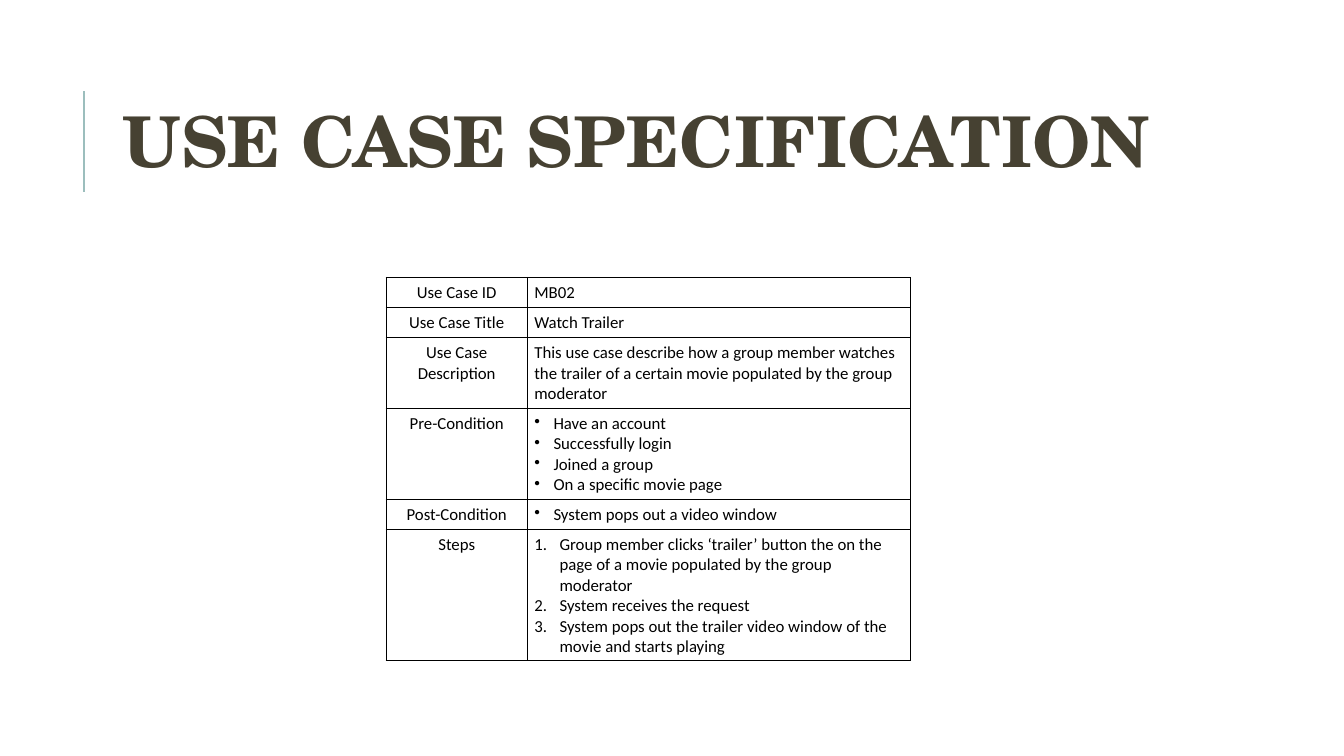
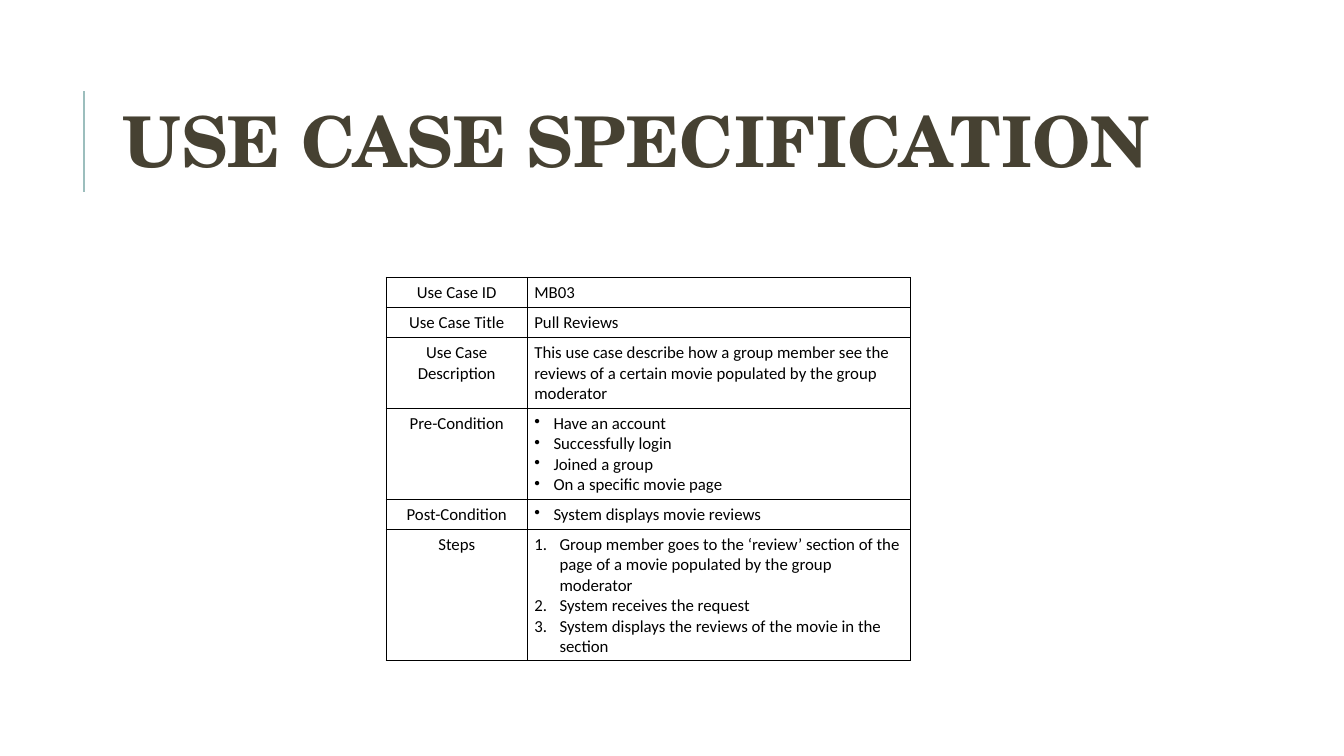
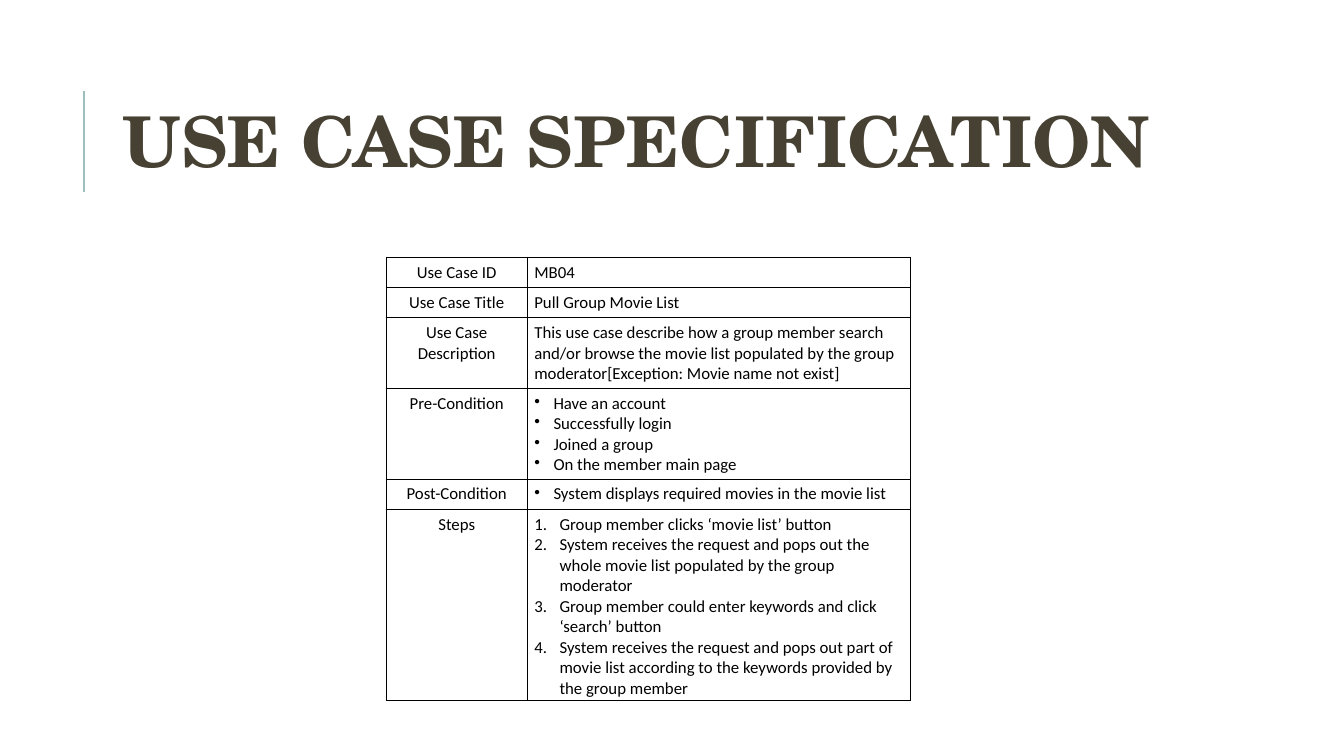
"""Build three use case specification slides, each with a title and a table."""
from lxml.etree import SubElement
from pptx import Presentation
from pptx.dml.color import RGBColor
from pptx.enum.shapes import MSO_CONNECTOR
from pptx.enum.text import MSO_ANCHOR, PP_ALIGN
from pptx.oxml.ns import qn
from pptx.util import Pt

PX = 9144
BLACK = RGBColor(0x00, 0x00, 0x00)
OLIVE = RGBColor(0x46, 0x41, 0x32)
SAGE = RGBColor(0x9C, 0xBE, 0xBD)
TITLE_FONT = "TeX Gyre Schola"
BODY_FONT = "Calibri"

TABLE_LEFT = 383
COLUMN_WIDTHS = (140, 380)
LINE_HEIGHT = 20
CELL_PADDING = 5
LABELS = ("Use Case ID", "Use Case Title", "Use Case Description",
          "Pre-Condition", "Post-Condition", "Steps")
LIST_STYLES = {
    "Pre-Condition": ("buChar", {"char": "•"}, 19),
    "Post-Condition": ("buChar", {"char": "•"}, 19),
    "Steps": ("buAutoNum", {"type": "arabicPeriod"}, 25),
}
MEMBER_CONDITIONS = "Have an account\nSuccessfully login\nJoined a group\n"

USE_CASES = (
    (275, 6, (
        "MB02",
        "Watch Trailer",
        "This use case describe how a group member watches the trailer of a "
        "certain movie populated by the group moderator",
        MEMBER_CONDITIONS + "On a specific movie page",
        "System pops out a video window",
        "Group member clicks ‘trailer’ button the on the page of a movie "
        "populated by the group moderator\n"
        "System receives the request\n"
        "System pops out the trailer video window of the movie and starts playing",
    )),
    (275, 6, (
        "MB03",
        "Pull Reviews",
        "This use case describe how a group member see the reviews of a "
        "certain movie populated by the group moderator",
        MEMBER_CONDITIONS + "On a specific movie page",
        "System displays movie reviews",
        "Group member goes to the ‘review’ section of the page of a movie "
        "populated by the group moderator\n"
        "System receives the request\n"
        "System displays the reviews of the movie in the section",
    )),
    (255, 9, (
        "MB04",
        "Pull Group Movie List",
        "This use case describe how a group member search and/or browse the "
        "movie list populated by the group moderator[Exception: Movie name not exist]",
        MEMBER_CONDITIONS + "On the member main page",
        "System displays required movies in the movie list",
        "Group member clicks ‘movie list’ button\n"
        "System receives the request and pops out the whole movie list "
        "populated by the group moderator\n"
        "Group member could enter keywords and click ‘search’ button\n"
        "System receives the request and pops out part of movie list according "
        "to the keywords provided by the group member",
    )),
)


def write(frame, text, font=BODY_FONT, size=12, color=BLACK, bold=False,
          align=PP_ALIGN.LEFT, line_spacing=None, list_style=None):
    frame.word_wrap = True
    frame.text = text
    for paragraph in frame.paragraphs:
        paragraph.alignment = align
        paragraph.line_spacing = line_spacing
        run_font = paragraph.runs[0].font
        run_font.name = font
        run_font.size = Pt(size)
        run_font.bold = bold
        run_font.color.rgb = color
        if list_style:
            tag, attributes, indent = list_style
            properties = paragraph._p.get_or_add_pPr()
            properties.set("marL", str(indent * PX))
            properties.set("indent", str(-indent * PX))
            bullet_color = SubElement(properties, qn("a:buClr"))
            SubElement(bullet_color, qn("a:srgbClr"), val=str(color))
            SubElement(properties, qn(f"a:{tag}"), attributes)


def format_cell(cell):
    cell.margin_left = cell.margin_right = 7 * PX
    cell.margin_top = cell.margin_bottom = CELL_PADDING * PX
    properties = cell._tc.get_or_add_tcPr()
    for side in ("lnL", "lnR", "lnT", "lnB"):
        border = SubElement(properties, qn(f"a:{side}"), w=str(Pt(0.75)))
        fill = SubElement(border, qn("a:solidFill"))
        SubElement(fill, qn("a:srgbClr"), val=str(BLACK))
    cell.fill.background()


presentation = Presentation()
presentation.slide_width = 1333 * PX
presentation.slide_height = 750 * PX

for table_top, step_lines, values in USE_CASES:
    slide = presentation.slides.add_slide(presentation.slide_layouts[6])

    accent = slide.shapes.add_connector(
        MSO_CONNECTOR.STRAIGHT, 83 * PX, 190 * PX, 83 * PX, 90 * PX)
    accent.line.color.rgb = SAGE
    accent.line.width = Pt(1.5)
    SubElement(accent._element.spPr, qn("a:effectLst"))

    title = slide.shapes.add_textbox(112 * PX, 64 * PX, 1063 * PX, 164 * PX)
    title.text_frame.vertical_anchor = MSO_ANCHOR.MIDDLE
    write(title.text_frame, "USE CASE SPECIFICATION", font=TITLE_FONT, size=50,
          color=OLIVE, bold=True, line_spacing=0.8)

    row_heights = [lines * LINE_HEIGHT + 2 * CELL_PADDING
                   for lines in (1, 1, 3, 4, 1, step_lines)]
    table = slide.shapes.add_table(
        len(LABELS), len(COLUMN_WIDTHS), TABLE_LEFT * PX, table_top * PX,
        sum(COLUMN_WIDTHS) * PX, sum(row_heights) * PX).table
    table.first_row = False
    table.horz_banding = False
    for column, width in zip(table.columns, COLUMN_WIDTHS):
        column.width = width * PX
    for row, height, label, value in zip(table.rows, row_heights, LABELS, values):
        row.height = height * PX
        label_cell, value_cell = row.cells
        write(label_cell.text_frame, label, align=PP_ALIGN.CENTER)
        write(value_cell.text_frame, value, list_style=LIST_STYLES.get(label))
        for cell in row.cells:
            format_cell(cell)

presentation.save("out.pptx")
